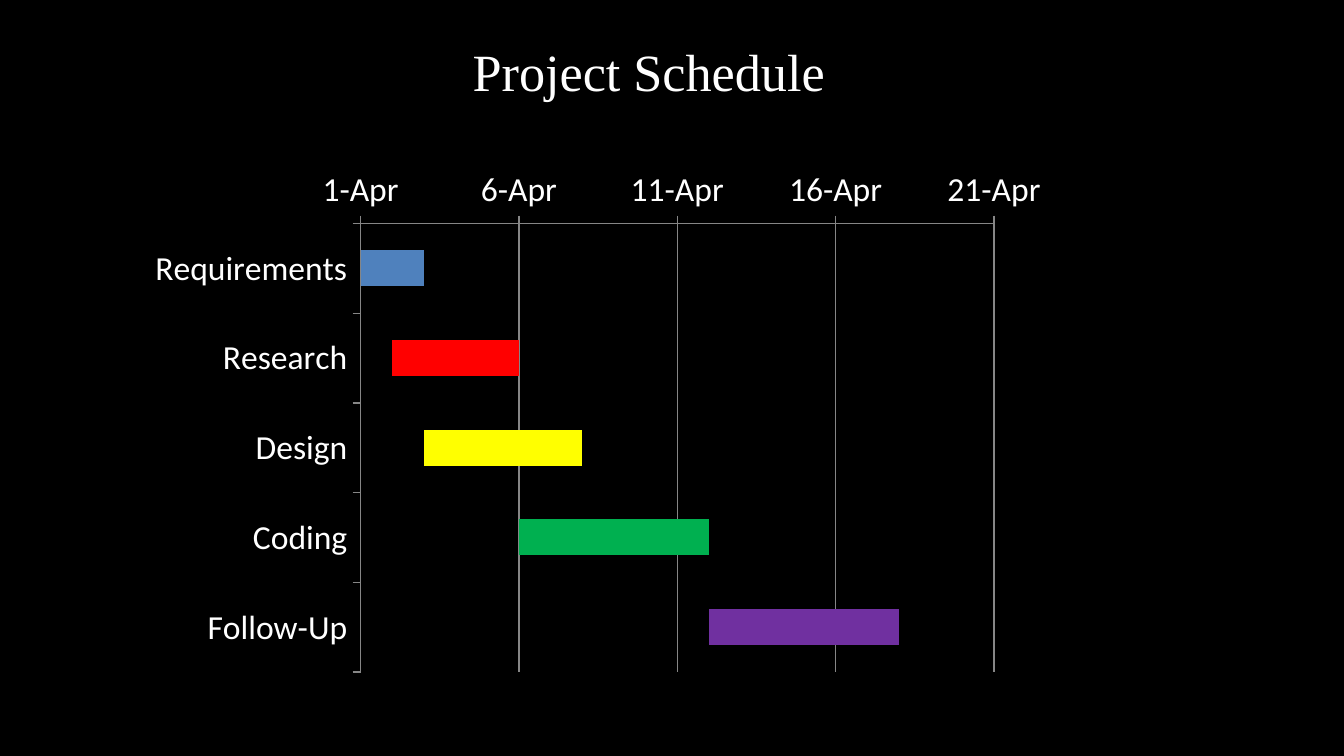
import pptx
import pptx.util
import pptx.chart.data
import pptx.dml.color
import pptx.enum.chart
import pptx.enum.text
import pptx.oxml

PX = 9525
GREY = "868686"
WHITE = "FFFFFF"
START = 45383
TASKS = [
    ("Requirements", 0, 2, "4F81BD"),
    ("Research", 1, 4, "FF0000"),
    ("Design", 2, 5, "FFFF00"),
    ("Coding", 5, 6, "00B050"),
    ("Follow-Up", 11, 6, "7030A0"),
]


def px(*nums):
    return [pptx.util.Emu(n * PX) for n in nums]


def tint(code):
    return pptx.dml.color.RGBColor.from_string(code)


def paint(fill, code):
    fill.solid()
    fill.fore_color.rgb = tint(code)


def style(font, name, size, code):
    font.name = name
    font.size = pptx.util.Pt(size)
    font.color.rgb = tint(code)


def rule(line):
    line.color.rgb = tint(GREY)
    line.width = pptx.util.Pt(0.75)


def add_title(slide, box, text):
    title = slide.shapes.title
    title.left, title.top, title.width, title.height = px(*box)
    frame = title.text_frame
    frame.word_wrap = False
    frame.auto_size = pptx.enum.text.MSO_AUTO_SIZE.SHAPE_TO_FIT_TEXT
    frame.vertical_anchor = pptx.enum.text.MSO_ANCHOR.TOP
    para = frame.paragraphs[0]
    para.alignment = pptx.enum.text.PP_ALIGN.LEFT
    run = para.add_run()
    run.text = text
    style(run.font, "Times New Roman", 28, WHITE)


def set_plot(chart, x, y, w, h):
    area = chart._chartSpace.chart.plotArea
    for old in area.findall(pptx.oxml.ns.qn("c:layout")):
        area.remove(old)
    parts = [("layoutTarget", "inner"), ("xMode", "edge"), ("yMode", "edge"),
             ("x", x), ("y", y), ("w", w), ("h", h)]
    body = "".join(f'<c:{tag} val="{val}"/>' for tag, val in parts)
    space = pptx.oxml.ns.nsdecls("c")
    area.insert(0, pptx.oxml.parse_xml(
        f"<c:layout {space}><c:manualLayout>{body}</c:manualLayout></c:layout>"))


def add_gantt(slide, box):
    data = pptx.chart.data.CategoryChartData()
    data.categories = [task[0] for task in TASKS]
    data.add_series("Series 1", [START + task[1] for task in TASKS])
    data.add_series("Series 2", [task[2] for task in TASKS])
    kind = pptx.enum.chart.XL_CHART_TYPE.BAR_STACKED
    chart = slide.shapes.add_chart(kind, *px(*box), data).chart
    chart.has_legend = False
    chart.has_title = False
    style(chart.font, "Calibri", 18, WHITE)
    set_plot(chart, 0.2, 0.17, 0.56, 0.77)

    plot = chart.plots[0]
    plot.vary_by_categories = False
    plot.gap_width = 150
    plot.overlap = 100
    start, span = plot.series
    start.format.fill.background()
    start.format.line.fill.background()
    paint(span.format.fill, "C0504D")
    for i, task in enumerate(TASKS):
        paint(span.points[i].format.fill, task[3])

    for axis in (chart.category_axis, chart.value_axis):
        axis.major_tick_mark = pptx.enum.chart.XL_TICK_MARK.OUTSIDE
        axis.minor_tick_mark = pptx.enum.chart.XL_TICK_MARK.NONE
        rule(axis.format.line)
        style(axis.tick_labels.font, "Calibri", 18, WHITE)
    chart.category_axis.reverse_order = True
    dates = chart.value_axis
    dates.minimum_scale = START
    dates.maximum_scale = START + 20
    dates.major_unit = 5
    dates.has_major_gridlines = True
    rule(dates.major_gridlines.format.line)
    dates.tick_labels.number_format = r"[$-409]d\-mmm;@"
    dates.tick_labels.number_format_is_linked = False


def main():
    deck = pptx.Presentation()
    deck.slide_width, deck.slide_height = px(960, 540)
    slide = deck.slides.add_slide(deck.slide_layouts[5])
    paint(slide.background.fill, "000000")
    add_gantt(slide, (96, 89, 808, 416))
    add_title(slide, (328, 23, 274, 55), "Project Schedule")
    deck.save("out.pptx")


if __name__ == "__main__":
    main()
